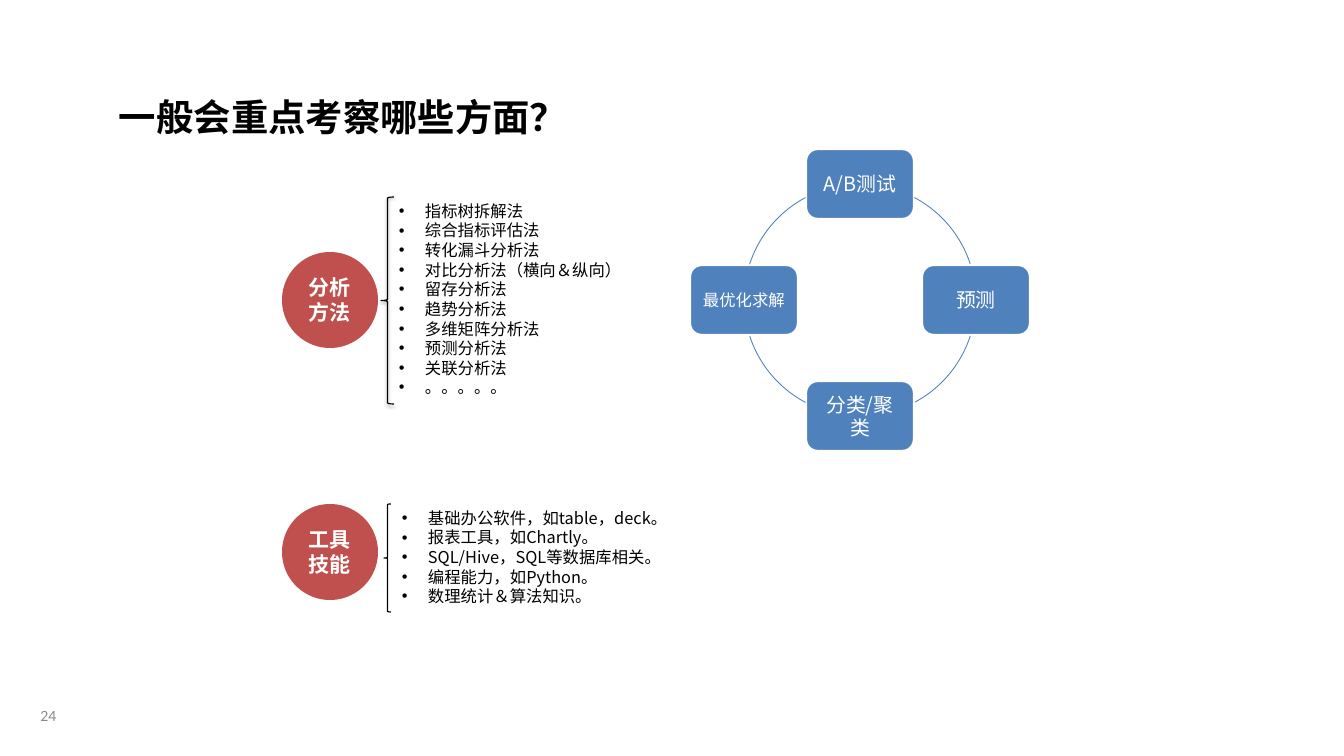
from dataclasses import dataclass
from lxml.etree import SubElement
from pptx import Presentation
from pptx.dml.color import RGBColor
from pptx.enum.shapes import MSO_SHAPE as Shape
from pptx.enum.text import MSO_ANCHOR as Anchor, PP_ALIGN as Align
from pptx.oxml.ns import qn
from pptx.util import Pt


@dataclass(frozen=True)
class Theme:
    font: str = "Noto Sans CJK SC"
    number_font: str = "Lato"
    ink: str = "000000"
    white: str = "FFFFFF"
    red: str = "C0504D"
    blue: str = "4F81BD"
    gray: str = "898989"
    title: int = 32
    topic: int = 18
    node: int = 17
    body: int = 14
    number: int = 12


THEME = Theme()
LINE_HEIGHT = 1.2
BULLET_INDENT = 26

METHODS = [
    "指标树拆解法", "综合指标评估法", "转化漏斗分析法", "对比分析法（横向＆纵向）",
    "留存分析法", "趋势分析法", "多维矩阵分析法", "预测分析法", "关联分析法", "。。。。。",
]
TOOLS = [
    "基础办公软件，如table，deck。", "报表工具，如Chartly。",
    "SQL/Hive，SQL等数据库相关。", "编程能力，如Python。", "数理统计＆算法知识。",
]


def px(value):
    return round(value * 914400 / 84)


def box_px(box):
    return [px(value) for value in box]


def write(shape, lines, size, color=THEME.ink, font=THEME.font, bold=False,
          align=Align.LEFT, anchor=Anchor.TOP, margins=(8, 4), bullet=False):
    frame = shape.text_frame
    frame.word_wrap = True
    frame.vertical_anchor = anchor
    frame.margin_left = frame.margin_right = px(margins[0])
    frame.margin_top = frame.margin_bottom = px(margins[1])
    for index, line in enumerate(lines):
        paragraph = frame.add_paragraph() if index else frame.paragraphs[0]
        paragraph.alignment = align
        paragraph.line_spacing = Pt(round(size * LINE_HEIGHT, 1))
        if bullet:
            properties = paragraph._p.get_or_add_pPr()
            properties.set("marL", str(px(BULLET_INDENT)))
            properties.set("indent", str(-px(BULLET_INDENT)))
            SubElement(properties, qn("a:buFont")).set("typeface", "Arial")
            SubElement(properties, qn("a:buChar")).set("char", "•")
        run = paragraph.add_run()
        run.text = line
        run.font.size = Pt(size)
        run.font.bold = bold
        run.font.name = font
        run.font.color.rgb = RGBColor.from_string(color)
        SubElement(run._r.get_or_add_rPr(), qn("a:ea")).set("typeface", font)


def add_text(slide, box, lines, size, **style):
    write(slide.shapes.add_textbox(*box_px(box)), lines, size, **style)


def add_preset(slide, kind, box, fill=None, line=None, width=1):
    shape = slide.shapes.add_shape(kind, *box_px(box))
    shape.shadow.inherit = False
    if fill:
        shape.fill.solid()
        shape.fill.fore_color.rgb = RGBColor.from_string(fill)
    else:
        shape.fill.background()
    if line:
        shape.line.color.rgb = RGBColor.from_string(line)
        shape.line.width = Pt(width)
    else:
        shape.line.fill.background()
    return shape


def add_soft_shadow(shape):
    effects = shape._element.spPr.find(qn("a:effectLst"))
    shadow = SubElement(effects, qn("a:outerShdw"), blurRad=str(Pt(3.1)),
                        dist=str(Pt(1.6)), dir="5400000", rotWithShape="0")
    color = SubElement(shadow, qn("a:srgbClr"), val=THEME.ink)
    SubElement(color, qn("a:alpha"), val="38000")


def add_topic(slide, box, label, lines, circle_top, brace, list_left, shadow=False):
    """Circle, brace and bullet list; brace is (left, width) from the box."""
    left, top, width, height = box
    diameter = 96
    # Bullet list
    add_text(slide, (left + list_left, top, width - list_left, height), lines,
             THEME.body, bullet=True)
    # Topic circle
    circle = add_preset(slide, Shape.OVAL, (left, top + circle_top, diameter, diameter),
                        fill=THEME.red)
    write(circle, [label], THEME.topic, color=THEME.white, bold=True,
          align=Align.CENTER, anchor=Anchor.MIDDLE)
    # Brace
    brace_shape = add_preset(slide, Shape.LEFT_BRACE,
                             (left + brace[0], top, brace[1], height), line=THEME.ink)
    if shadow:
        add_soft_shadow(brace_shape)


def add_cycle(slide, box):
    """Four nodes around the ring that fills the box, clockwise from the top."""
    left, top, width, height = box
    node_width, node_height = 108, 70
    nodes = [("A/B测试", 0.5, 0, THEME.node), ("预测", 1, 0.5, THEME.node),
             ("分类/聚类", 0.5, 1, THEME.node), ("最优化求解", 0, 0.5, THEME.body)]
    for index, (label, across, down, size) in enumerate(nodes):
        node_box = (left + across * width - node_width / 2,
                    top + down * height - node_height / 2, node_width, node_height)
        node = add_preset(slide, Shape.ROUNDED_RECTANGLE, node_box,
                          fill=THEME.blue, line=THEME.white, width=2)
        write(node, [label], size, color=THEME.white, align=Align.CENTER,
              anchor=Anchor.MIDDLE, margins=(9, 9))
        # Arc to the next node; adjustments count 100000 units, a degree is 60000
        quadrant = (270 + 90 * index) % 360
        arc = add_preset(slide, Shape.ARC, box, line=THEME.blue, width=0.75)
        arc.adjustments[0] = (quadrant + 28) * 0.6
        arc.adjustments[1] = (quadrant + 72) * 0.6
        if index % 2:
            arc.adjustments[0] = (quadrant + 18) * 0.6
            arc.adjustments[1] = (quadrant + 62) * 0.6


def main():
    presentation = Presentation()
    presentation.slide_width, presentation.slide_height = px(1344), px(756)
    slide = presentation.slides.add_slide(presentation.slide_layouts[6])

    # Page number and title
    add_text(slide, (17, 695, 63, 41), ["24"], THEME.number, color=THEME.gray,
             font=THEME.number_font, align=Align.CENTER, anchor=Anchor.MIDDLE)
    add_text(slide, (111, 90, 599, 54), ["一般会重点考察哪些方面？"], THEME.title, bold=True)

    # Topics on the left, cycle on the right
    add_topic(slide, (282, 197, 360, 207), "分析方法", METHODS, circle_top=55,
              brace=(99, 13), list_left=109, shadow=True)
    add_topic(slide, (282, 504, 456, 108), "工具技能", TOOLS, circle_top=0,
              brace=(102, 7), list_left=112)
    add_cycle(slide, (744, 184, 232, 232))

    presentation.save("out.pptx")


if __name__ == "__main__":
    main()
